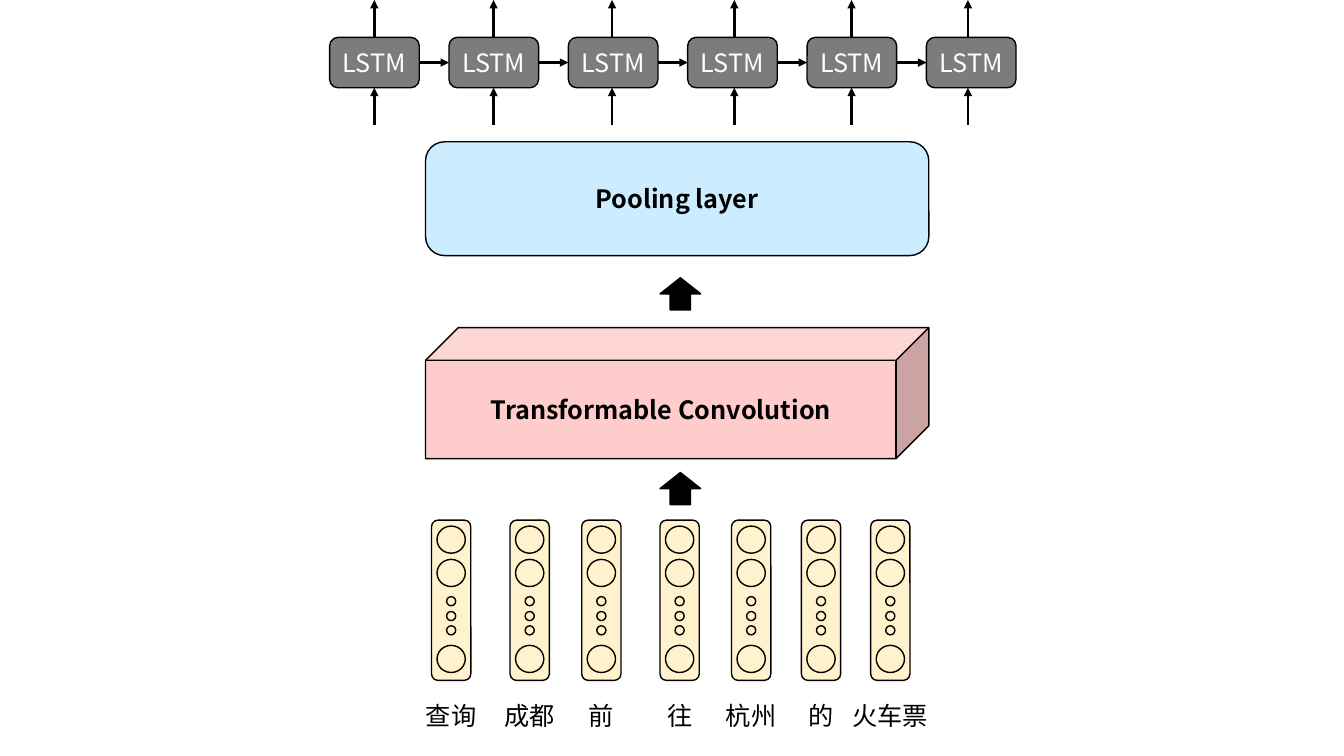
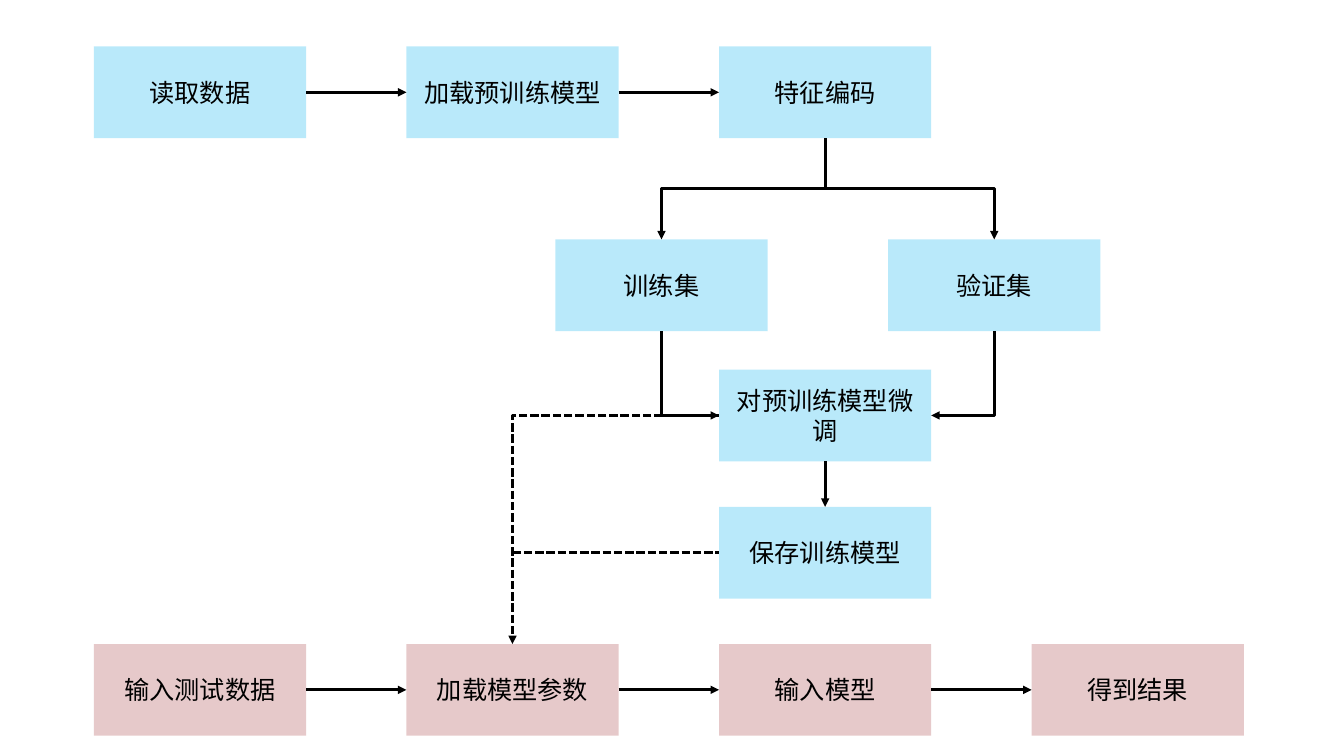
"""Build two slides: a convolution-LSTM network and a model training flow."""
from dataclasses import dataclass
from typing import Optional

from lxml import etree
from pptx import Presentation
from pptx import util as u
from pptx.dml.color import RGBColor
from pptx.enum import dml, shapes, text
from pptx.oxml.ns import qn
from pptx.shapes.autoshape import Shape
from pptx.shapes.connector import Connector
from pptx.slide import Slide

Kind = shapes.MSO_SHAPE
TOP, LEFT, BOTTOM, RIGHT = range(4)


@dataclass(frozen=True)
class Theme:
    """Colours, font and sizes shared by both slides."""
    font: str = "Noto Sans CJK SC"
    size: float = 18
    ink: str = "000000"
    white: str = "FFFFFF"
    cell: str = "7C7C7C"
    vector: str = "FFF2CC"
    convolution: str = "FFCCCC"
    pooling: str = "CCECFF"
    training: str = "75D5F7"
    testing: str = "CF9596"
    outline: float = 1
    arrow: float = 2


@dataclass(frozen=True)
class Box:
    """Place of a shape, in points."""
    x: float
    y: float
    w: float
    h: float

    def lengths(self) -> tuple[u.Pt, ...]:
        """Return left, top, width and height as lengths."""
        return tuple(u.Pt(v) for v in (self.x, self.y, self.w, self.h))


@dataclass(frozen=True)
class Word:
    """One input word and the left edge of its vector."""
    label: str
    x: float


@dataclass(frozen=True)
class Step:
    """One box of the training flow."""
    label: str
    x: float
    y: float
    fill: str


@dataclass(frozen=True)
class Link:
    """An arrow between two steps, leaving and arriving at given sides."""
    start: str
    start_side: int
    end: str
    end_side: int
    preset: str = "line"
    dashed: bool = False


T = Theme()


def write(sp: Shape, words: str, *, bold: bool = False, color: str = T.ink,
          anchor: text.MSO_ANCHOR = text.MSO_ANCHOR.MIDDLE) -> None:
    """Put centred text in a shape."""
    tf = sp.text_frame
    tf.word_wrap = True
    tf.vertical_anchor = anchor
    p = tf.paragraphs[0]
    p.alignment = text.PP_ALIGN.CENTER
    r = p.add_run()
    r.text = words
    r.font.name, r.font.size, r.font.bold = T.font, u.Pt(T.size), bold
    r.font.color.rgb = RGBColor.from_string(color)
    for props in sp.element.iter(qn("a:rPr")):
        etree.SubElement(props, qn("a:ea")).set("typeface", T.font)


def draw(s: Slide, kind: Kind, box: Box, fill: str, *, outlined: bool = True,
         opacity: Optional[int] = None) -> Shape:
    """Add a filled shape, with a thin outline or none."""
    sp = s.shapes.add_shape(kind, *box.lengths())
    sp.shadow.inherit = False
    sp.fill.solid()
    sp.fill.fore_color.rgb = RGBColor.from_string(fill)
    if opacity is not None:
        tint = sp.element.spPr.find(f"{qn('a:solidFill')}/{qn('a:srgbClr')}")
        etree.SubElement(tint, qn("a:alpha")).set("val", str(opacity * 1000))
    if outlined:
        sp.line.color.rgb = RGBColor.from_string(T.ink)
        sp.line.width = u.Pt(T.outline)
    else:
        sp.line.fill.background()
    return sp


def connect(s: Slide, x1: float = 0, y1: float = 0, x2: float = 0, y2: float = 0, *,
            preset: str = "line", dashed: bool = False, head: bool = True) -> Connector:
    """Add a connector, with or without an arrowhead."""
    c = s.shapes.add_connector(shapes.MSO_CONNECTOR.STRAIGHT,
                               *(u.Pt(v) for v in (x1, y1, x2, y2)))
    c.line.color.rgb = RGBColor.from_string(T.ink)
    c.line.width = u.Pt(T.arrow)
    if dashed:
        c.line.dash_style = dml.MSO_LINE.SQUARE_DOT
    props = c.element.spPr
    props.find(qn("a:prstGeom")).set("prst", preset)
    if head:
        etree.SubElement(props.find(qn("a:ln")), qn("a:tailEnd")).set("type", "triangle")
    etree.SubElement(props, qn("a:effectLst"))
    return c


def turn(c: Connector) -> None:
    """Make a downward bent connector leave vertically."""
    x1, y1, x2, y2 = c.begin_x, c.begin_y, c.end_x, c.end_y
    run, drop = abs(x2 - x1), y2 - y1
    c.left, c.top = (x1 + x2 - drop) // 2, (y1 + y2 - run) // 2
    c.width, c.height = drop, run
    rightward = x2 > x1
    xfrm = c.element.spPr.find(qn("a:xfrm"))
    xfrm.set("rot", str((270 if rightward else 90) * 60000))
    xfrm.set("flipH", str(int(rightward)))


def glue(s: Slide, boxes: dict[str, Shape], link: Link) -> None:
    """Draw a link glued to its two steps."""
    c = connect(s, preset=link.preset, dashed=link.dashed)
    c.begin_connect(boxes[link.start], link.start_side)
    c.end_connect(boxes[link.end], link.end_side)
    if link.preset != "line" and link.start_side == BOTTOM:
        turn(c)


def draw_word(s: Slide, word: Word) -> None:
    """Draw a word's vector of circles and its label."""
    w = 28.1
    middle = word.x + w / 2
    draw(s, Kind.ROUNDED_RECTANGLE, Box(word.x, 371.5, w, 114.5), T.vector)
    for y in (375.8, 399.6, 461):
        draw(s, Kind.OVAL, Box(middle - 10.1, y, 20.2, 19.4), T.vector)
    for y in (426.2, 436.8, 447):
        draw(s, Kind.FLOWCHART_CONNECTOR, Box(middle - 3.25, y, 6.5, 6.5), T.vector)
    label_w = 18 * max(2, len(word.label)) + 21.6
    label = s.shapes.add_textbox(*Box(middle - label_w / 2, 496.6, label_w, 29).lengths())
    write(label, word.label, anchor=text.MSO_ANCHOR.TOP)
    label.text_frame.auto_size = text.MSO_AUTO_SIZE.SHAPE_TO_FIT_TEXT


def network_slide(prs: Presentation) -> None:
    """Build the network from words up to LSTM cells."""
    s = prs.slides.add_slide(prs.slide_layouts[6])
    for word in (Word("查询", 308.2), Word("成都", 364.3), Word("前", 415.5),
                 Word("往", 471.4), Word("杭州", 522.5), Word("的", 572.4),
                 Word("火车票", 621.9)):
        draw_word(s, word)
    for y in (337.5, 198.4):
        draw(s, Kind.UP_ARROW, Box(471.5, y, 29, 23), T.ink)
    for kind, y, h, fill, label in (
            (Kind.CUBE, 234, 93.6, T.convolution, "Transformable Convolution"),
            (Kind.ROUNDED_RECTANGLE, 101.3, 81.3, T.pooling, "Pooling layer")):
        write(draw(s, kind, Box(304, y, 359.5, h), fill), label, bold=True)

    cells = []
    for i in range(6):
        sp = draw(s, Kind.ROUNDED_RECTANGLE, Box(235.5 + 85.25 * i, 26.7, 64, 36), T.cell)
        write(sp, "LSTM", color=T.white)
        cells.append(sp)
    for left, right in zip(cells, cells[1:]):
        c = connect(s)
        c.begin_connect(left, RIGHT)
        c.end_connect(right, LEFT)
    for x in (267.4, 352.6, 437.2, 524.5, 608.3, 691.4):
        connect(s, x, 89, x, 62.7)
        connect(s, x, 26.7, x, 0)


def flow_slide(prs: Presentation) -> None:
    """Build the training and testing flow."""
    s = prs.slides.add_slide(prs.slide_layouts[6])
    columns = [67 + 223.3 * i for i in range(4)]
    steps = {
        "read": Step("读取数据", columns[0], 33.2, T.training),
        "pretrained": Step("加载预训练模型", columns[1], 33.2, T.training),
        "encode": Step("特征编码", columns[2], 33.2, T.training),
        "train": Step("训练集", 396.7, 171, T.training),
        "validate": Step("验证集", 634.4, 171, T.training),
        "tune": Step("对预训练模型微调", columns[2], 264, T.training),
        "save": Step("保存训练模型", columns[2], 362, T.training),
        "test": Step("输入测试数据", columns[0], 460, T.testing),
        "load": Step("加载模型参数", columns[1], 460, T.testing),
        "feed": Step("输入模型", columns[2], 460, T.testing),
        "result": Step("得到结果", columns[3], 460, T.testing),
    }
    boxes = {}
    for name, step in steps.items():
        sp = draw(s, Kind.FLOWCHART_PROCESS, Box(step.x, step.y, 151.6, 65.5),
                  step.fill, outlined=False, opacity=50)
        write(sp, step.label)
        boxes[name] = sp

    for row in (("read", "pretrained", "encode"), ("test", "load", "feed", "result")):
        for start, end in zip(row, row[1:]):
            glue(s, boxes, Link(start, RIGHT, end, LEFT))
    for link in (Link("encode", BOTTOM, "train", TOP, "bentConnector3"),
                 Link("encode", BOTTOM, "validate", TOP, "bentConnector3"),
                 Link("train", BOTTOM, "tune", LEFT, "bentConnector2"),
                 Link("validate", BOTTOM, "tune", RIGHT, "bentConnector2"),
                 Link("tune", LEFT, "load", TOP, "bentConnector2", True),
                 Link("tune", BOTTOM, "save", TOP)):
        glue(s, boxes, link)
    load, save = boxes["load"], boxes["save"]
    x, y = (load.left + load.width / 2) / u.Pt(1), (save.top + save.height / 2) / u.Pt(1)
    branch = connect(s, x, y, x, y, dashed=True, head=False)
    branch.end_connect(save, LEFT)


def main() -> None:
    """Build and save the presentation."""
    prs = Presentation()
    prs.slide_width, prs.slide_height = u.Pt(960), u.Pt(540)
    network_slide(prs)
    flow_slide(prs)
    prs.save("out.pptx")


main()
